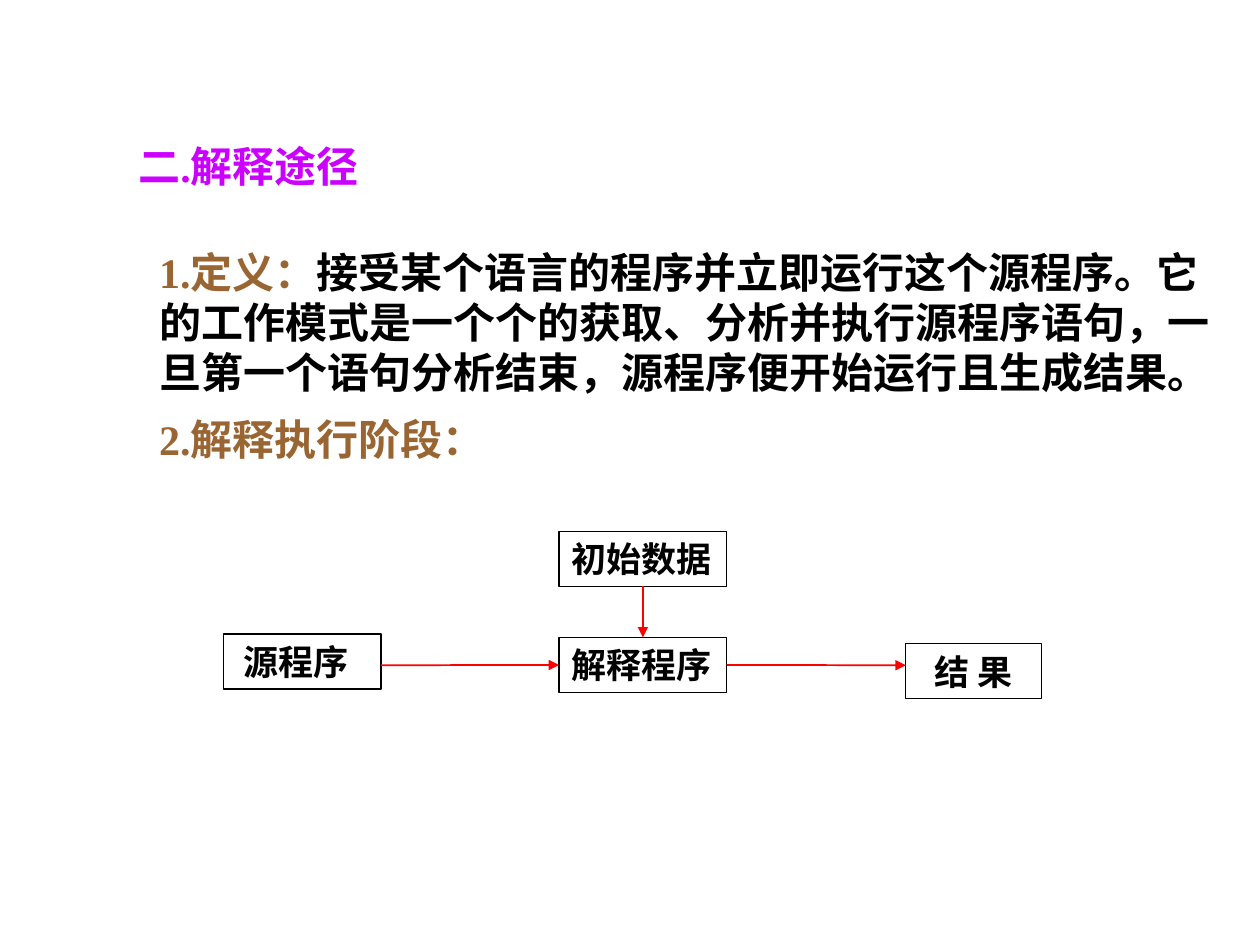
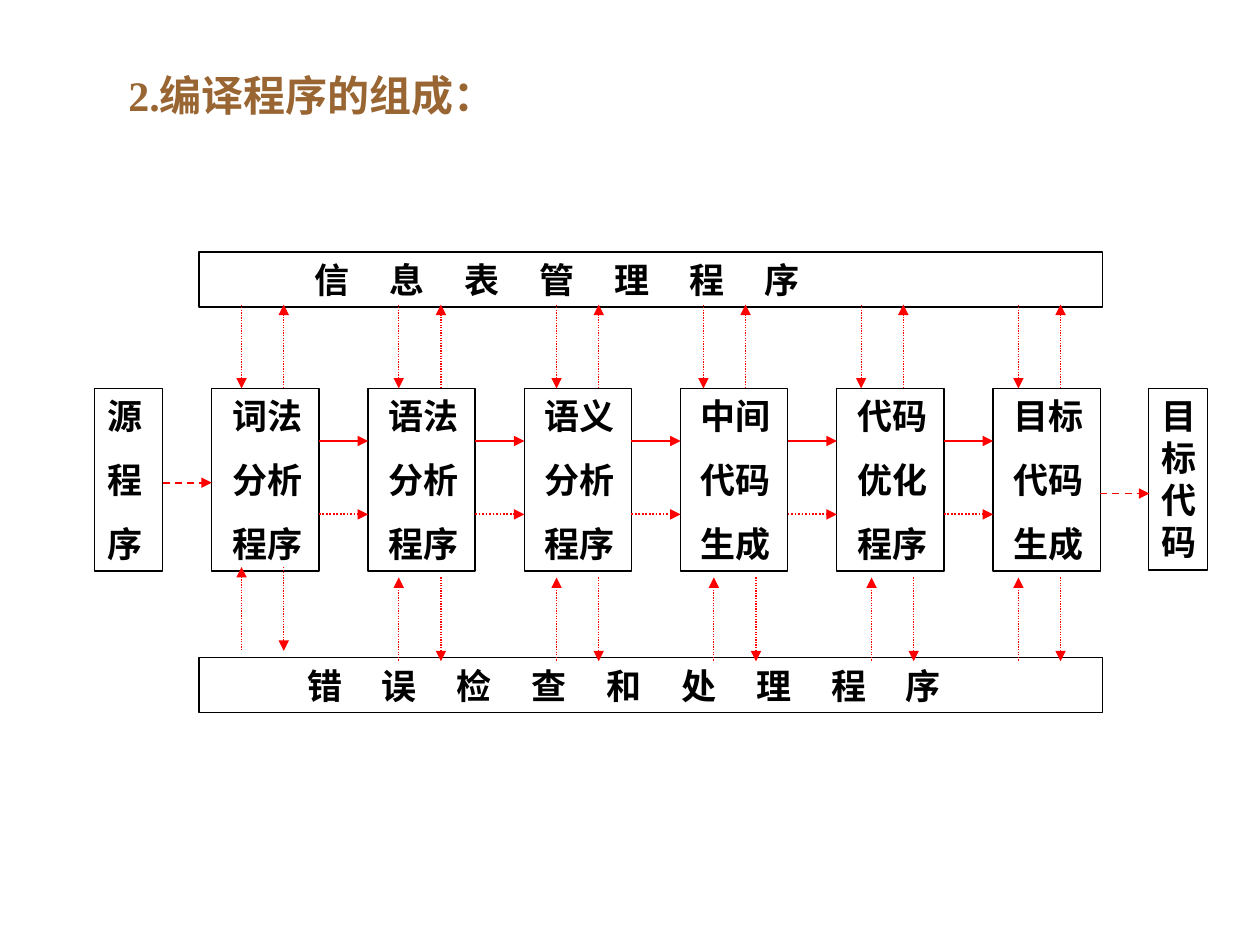
from dataclasses import dataclass

from lxml import etree
from pptx import Presentation
from pptx.dml.color import RGBColor
from pptx.enum.dml import MSO_LINE
from pptx.enum.shapes import MSO_CONNECTOR, MSO_SHAPE
from pptx.enum.text import MSO_ANCHOR, MSO_AUTO_SIZE, PP_ALIGN
from pptx.oxml.ns import qn
from pptx.util import Cm, Pt

RECTANGLE = MSO_SHAPE.RECTANGLE
STRAIGHT = MSO_CONNECTOR.STRAIGHT
DASHED, DOTTED = MSO_LINE.DASH, MSO_LINE.ROUND_DOT
TOP, LEFT, BOTTOM, RIGHT = range(4)


@dataclass(frozen=True)
class Theme:
    font: str = "Times New Roman"
    ink: RGBColor = RGBColor(0x00, 0x00, 0x00)
    section: RGBColor = RGBColor(0xCC, 0x00, 0xFF)
    heading: RGBColor = RGBColor(0x99, 0x66, 0x33)
    arrow: RGBColor = RGBColor(0xFF, 0x00, 0x00)
    body_size: Pt = Pt(24)
    box_size: Pt = Pt(20)
    box_gap: Pt = Pt(12.5)
    thin: Pt = Pt(0.75)
    medium: Pt = Pt(1)


THEME = Theme()
FRAME_FORMAT = {
    "word_wrap": True,
    "auto_size": MSO_AUTO_SIZE.SHAPE_TO_FIT_TEXT,
    "vertical_anchor": MSO_ANCHOR.TOP,
    "margin_left": Cm(0.25),
    "margin_right": Cm(0.25),
    "margin_top": Cm(0.13),
    "margin_bottom": Cm(0.13),
}


def apply_format(target, values):
    for name, value in values.items():
        setattr(target, name, value)


def add_run(paragraph, text, size, color):
    run = paragraph.add_run()
    run.text = text
    apply_format(run.font, {"name": THEME.font, "size": size, "bold": True})
    run.font.color.rgb = color
    return run


def add_text(slide, place, *parts):
    """Add one paragraph made of (text, colour) parts."""
    frame = slide.shapes.add_textbox(*map(Cm, place)).text_frame
    apply_format(frame, FRAME_FORMAT)
    for text, color in parts:
        add_run(frame.paragraphs[0], text, THEME.body_size, color)


def add_box(slide, place, lines, indent=0, tracking=0):
    """Add an outlined box; indent is in cm, tracking in points."""
    box = slide.shapes.add_shape(RECTANGLE, *map(Cm, place))
    box.shadow.inherit = False
    box.fill.background()
    box.line.color.rgb = THEME.ink
    box.line.width = THEME.thin
    frame = box.text_frame
    apply_format(frame, FRAME_FORMAT)
    for row, text in enumerate(lines):
        paragraph = frame.add_paragraph() if row else frame.paragraphs[0]
        paragraph.alignment = PP_ALIGN.LEFT
        if row:
            paragraph.space_before = THEME.box_gap
        if indent:
            paragraph._p.get_or_add_pPr().set("marL", str(Cm(indent)))
        run = add_run(paragraph, text, THEME.box_size, THEME.ink)
        if tracking:
            run._r.get_or_add_rPr().set("spc", str(round(tracking * 100)))
    return box


def add_arrow(slide, start, end, width=THEME.medium, dash=None, tip="tailEnd",
              source=None, target=None):
    """Draw an arrow; source and target are (box, side) joints."""
    arrow = slide.shapes.add_connector(STRAIGHT, *map(Cm, (*start, *end)))
    if source:
        arrow.begin_connect(*source)
    if target:
        arrow.end_connect(*target)
    arrow.line.color.rgb = THEME.arrow
    arrow.line.width = width
    if dash is not None:
        arrow.line.dash_style = dash
    properties = arrow._element.spPr
    etree.SubElement(properties.find(qn("a:ln")), qn("a:" + tip), type="triangle")
    etree.SubElement(properties, qn("a:effectLst"))


def add_exchange(slide, x, top, bottom, tips):
    """Draw a pair of opposite dotted arrows."""
    for offset, tip in zip((0, 0.85), tips):
        add_arrow(slide, (x + offset, top), (x + offset, bottom),
                  THEME.thin, DOTTED, tip)


def build_interpretation(slide):
    # Headings and definition
    add_text(slide, (2.54, 2.71, 6.77, 1.27), ("二.解释途径", THEME.section))
    add_text(slide, (2.96, 4.83, 21.8, 3.3),
             ("1.定义：", THEME.heading),
             ("接受某个语言的程序并立即运行这个源程序。它的工作模式是一个个的获取、"
              "分析并执行源程序语句，一旦第一个语句分析结束，源程序便开始运行且生成结果。",
              THEME.ink))
    add_text(slide, (2.96, 8.2, 9.53, 1.27), ("2.解释执行阶段：", THEME.heading))

    # Boxes
    add_box(slide, (4.5, 12.78, 3.18, 1.11), ["源程序"], indent=0.16)
    add_box(slide, (18.26, 12.98, 2.74, 1.11), ["结 果"], indent=0.32)
    interpreter = add_box(slide, (11.27, 12.85, 3.38, 1.11), ["解释程序"])
    initial_data = add_box(slide, (11.27, 10.71, 3.38, 1.11), ["初始数据"])

    # Arrows through the interpreter
    flow_y = 13.41
    add_arrow(slide, (7.68, flow_y), (11.27, flow_y), target=(interpreter, LEFT))
    add_arrow(slide, (14.65, flow_y), (18.26, flow_y), source=(interpreter, RIGHT))
    add_arrow(slide, (12.96, 11.82), (12.96, 12.85),
              source=(initial_data, BOTTOM), target=(interpreter, TOP))


def build_compiler(slide):
    add_text(slide, (2.34, 1.27, 10.16, 1.27), ("2.编译程序的组成：", THEME.heading))

    # Programs that serve all stages
    add_box(slide, (4.01, 5.08, 18.21, 1.11), ["信 息 表 管 理 程 序"], 2.09, 9.1)
    add_box(slide, (4.01, 13.26, 18.21, 1.11), ["错 误 检 查 和 处 理 程 序"], 1.93, 9.1)

    # Input, stages and output
    stages = ("词法 分析 程序", "语法 分析 程序", "语义 分析 程序",
              "中间 代码 生成", "代码 优化 程序", "目标 代码 生成")
    row_top, row_height = 7.83, 3.68
    first_left, stage_width, pitch = 4.27, 2.16, 3.15
    gap = pitch - stage_width
    add_box(slide, (1.91, row_top, 1.37, row_height), "源程序")
    for index, stage in enumerate(stages):
        left = first_left + index * pitch
        add_box(slide, (left, row_top, stage_width, row_height), stage.split(), 0.16)
    add_box(slide, (23.16, row_top, 1.19, 3.66), ["目标代码"])

    # Flow along the row
    add_arrow(slide, (first_left - gap, 9.73), (first_left, 9.73), dash=DASHED)
    for index in range(1, len(stages)):
        left = first_left + index * pitch
        for y, dash in ((8.89, None), (10.37, DOTTED)):
            add_arrow(slide, (left - gap, y), (left, y), dash=dash)
    output_left = first_left + len(stages) * pitch
    add_arrow(slide, (output_left - gap, 9.95), (output_left, 9.95), dash=DASHED)

    # Exchange with the table manager and the error handler
    for x in (4.87, 8.04, 11.22, 14.18, 17.36, 20.53):
        add_exchange(slide, x, 6.14, row_top, ("tailEnd", "headEnd"))
    for index, x in enumerate((4.87, 8.04, 11.22, 14.39, 17.57, 20.53)):
        top = 11.64 if index else 11.43
        add_exchange(slide, x, top, top + 1.69, ("headEnd", "tailEnd"))


def main():
    deck = Presentation()
    deck.slide_width, deck.slide_height = Cm(25.4), Cm(19.05)
    blank = deck.slide_layouts[6]
    for build in (build_interpretation, build_compiler):
        build(deck.slides.add_slide(blank))
    deck.save("out.pptx")


if __name__ == "__main__":
    main()
